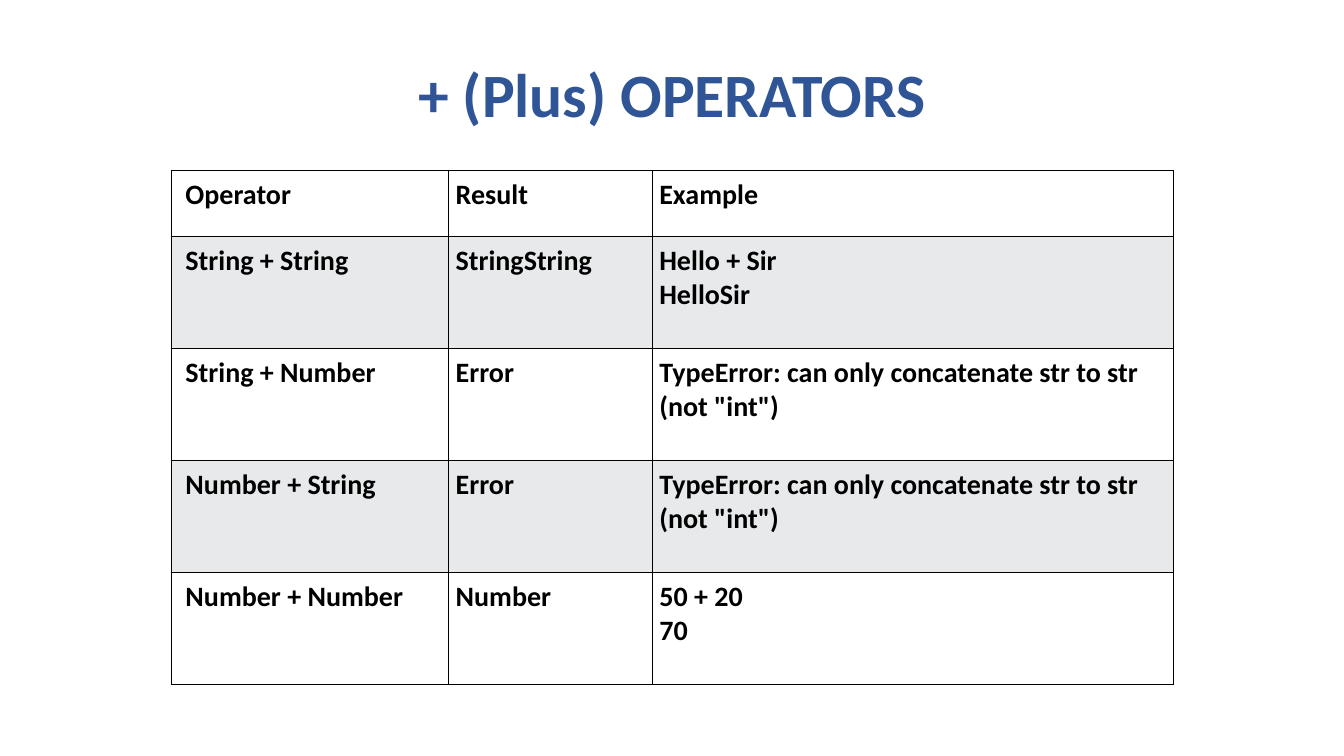
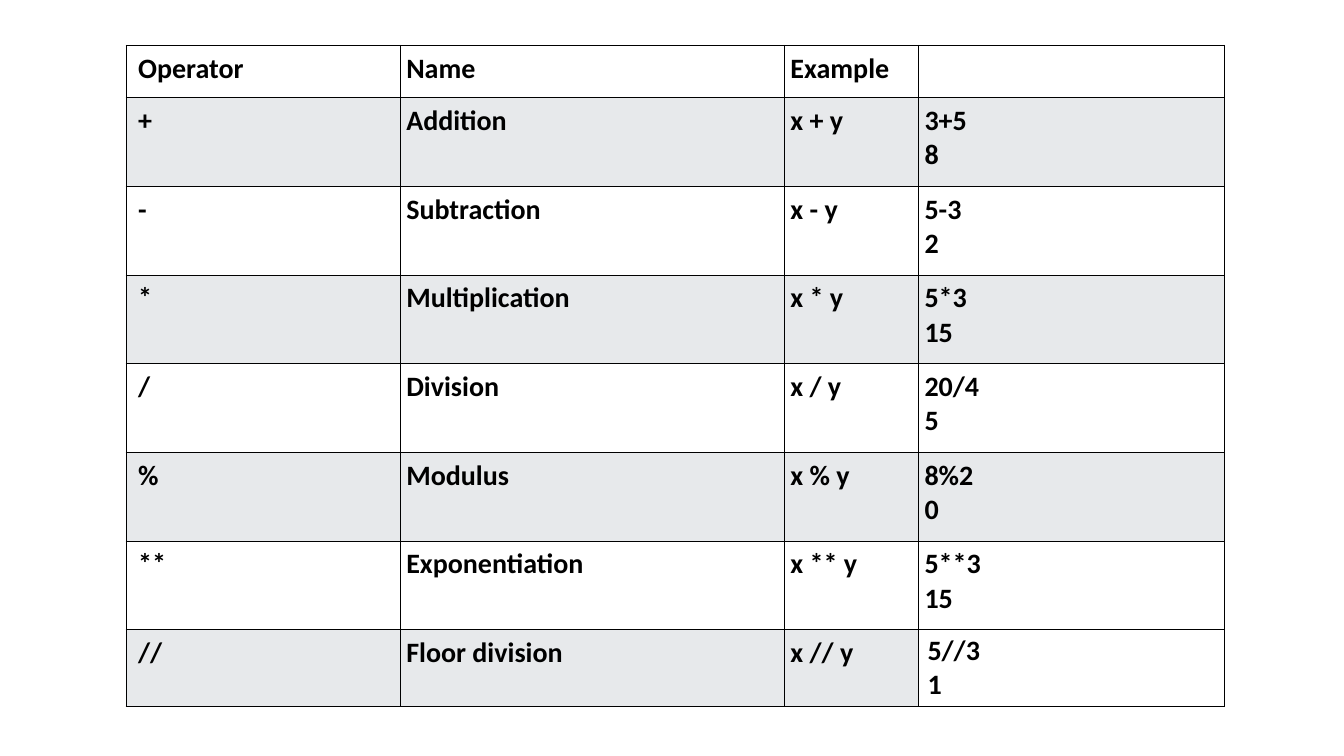
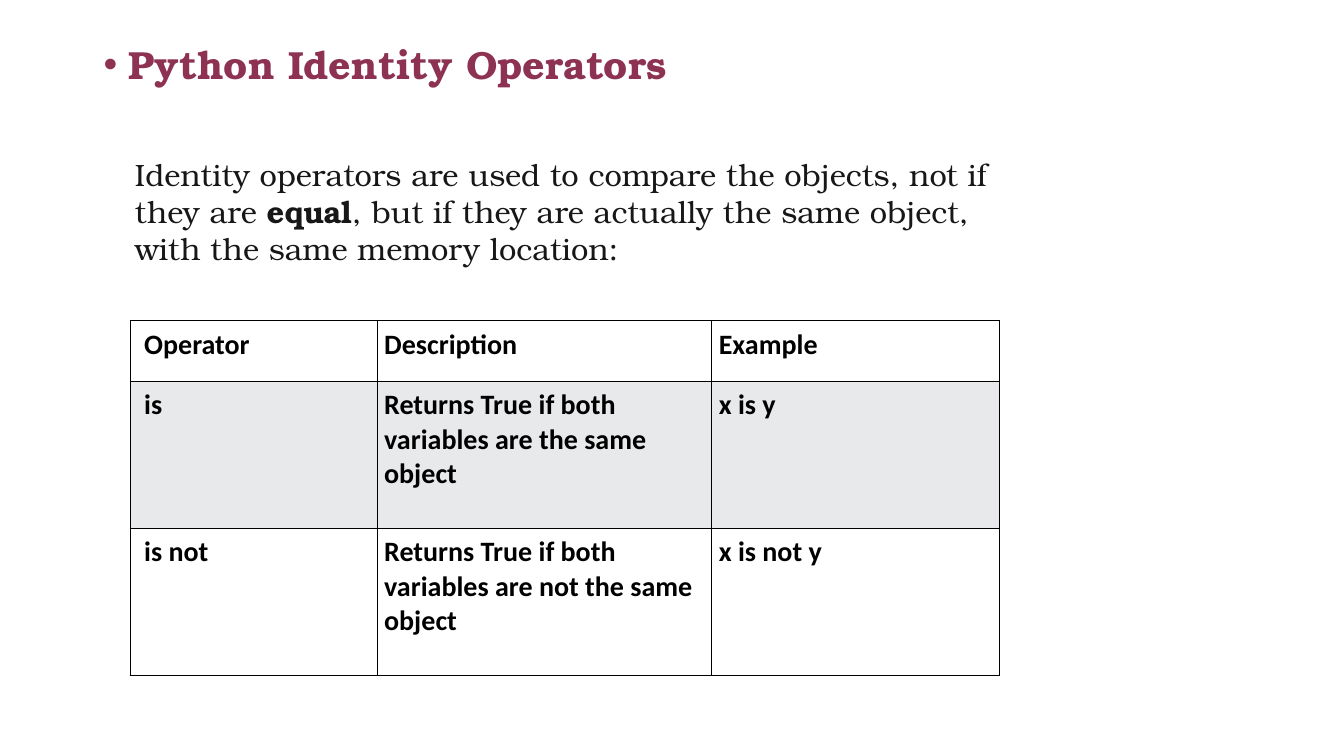
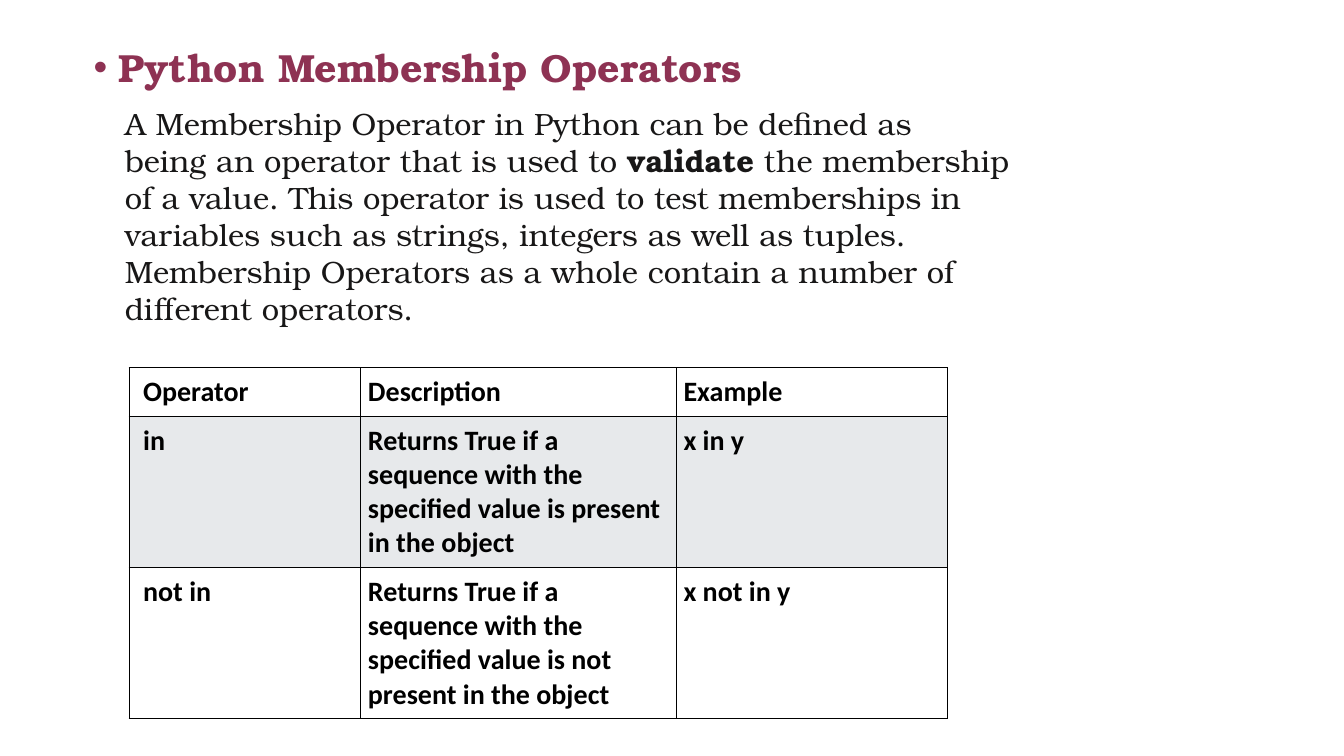
from lxml import etree
from pptx import Presentation
from pptx import util as u
from pptx.dml.color import RGBColor
from pptx.enum import text
from pptx.oxml import ns

# Shared style
BLUE = RGBColor(0x2F, 0x55, 0x97)
PLUM = RGBColor(0x8E, 0x32, 0x53)
INK = RGBColor(0x18, 0x17, 0x17)
BLACK = RGBColor(0, 0, 0)
WHITE = RGBColor(0xFF, 0xFF, 0xFF)
GREY = RGBColor(0xE7, 0xE9, 0xEB)
SANS, SERIF = "Calibri", "TeX Gyre Bonum"
SLIDE_W, SLIDE_H = 13.33, 7.5
BODY_RIGHT = 10.2   # right edge of running text

# Content
TYPE_ERROR = 'TypeError: can only concatenate str to str (not "int")'
PLUS = [
    ("Operator", "Result", "Example"),
    ("String + String", "StringString", "Hello + Sir\nHelloSir"),
    ("String + Number", "Error", TYPE_ERROR),
    ("Number + String", "Error", TYPE_ERROR),
    ("Number + Number", "Number", "50 + 20\n70"),
]
ARITHMETIC = [
    ("Operator", "Name", "Example", ""),
    ("+", "Addition", "x + y", "3+5\n8"),
    ("-", "Subtraction", "x - y", "5-3\n2"),
    ("*", "Multiplication", "x * y", "5*3\n15"),
    ("/", "Division", "x / y", "20/4\n5"),
    ("%", "Modulus", "x % y", "8%2\n0"),
    ("**", "Exponentiation", "x ** y", "5**3\n15"),
    ("//", "Floor division", "x // y", "5//3\n1"),
]
IDENTITY = [
    ("Operator", "Description", "Example"),
    ("is", "Returns True if both variables are the same object", "x is y"),
    ("is not", "Returns True if both variables are not the same object",
     "x is not y"),
]
MEMBERSHIP = [
    ("Operator", "Description", "Example"),
    ("in", "Returns True if a sequence with the specified value is present "
     "in the object", "x in y"),
    ("not in", "Returns True if a sequence with the specified value is not "
     "present in the object", "x not in y"),
]
# Running text: (words, bold)
IDENTITY_TEXT = [
    ("Identity operators are used to compare the objects, not if they are ",
     False),
    ("equal", True),
    (", but if they are actually the same object, with the same memory "
     "location:", False),
]
MEMBERSHIP_TEXT = [
    ("A Membership Operator in Python can be defined as being\u00a0an "
     "operator that is used to ", False),
    ("validate", True),
    (" the membership of a value. This operator is used to test memberships "
     "in variables such as strings, integers as well as tuples. Membership "
     "Operators as a whole contain a number of different operators.", False),
]

prs = Presentation()
prs.slide_width, prs.slide_height = u.Inches(SLIDE_W), u.Inches(SLIDE_H)


def add_slide():
    return prs.slides.add_slide(prs.slide_layouts[6])


def add_run(p, words, size, font, color, bold=True):
    r = p.add_run()
    r.text = words
    r.font.size, r.font.name, r.font.bold = u.Pt(size), font, bold
    r.font.color.rgb = color


def add_box(s, left, top, width, height):
    tf = s.shapes.add_textbox(*map(u.Inches, (left, top, width, height))).text_frame
    tf.word_wrap = True
    return tf


def set_insets(cell, left, top, right, bottom):
    cell.margin_left, cell.margin_top = u.Inches(left), u.Inches(top)
    cell.margin_right, cell.margin_bottom = u.Inches(right), u.Inches(bottom)


def set_borders(cell):
    tc_pr = cell._tc.get_or_add_tcPr()
    for i, side in enumerate(("lnL", "lnR", "lnT", "lnB")):
        ln = etree.Element(ns.qn("a:" + side), w=str(u.Pt(0.75)))
        fill = etree.SubElement(ln, ns.qn("a:solidFill"))
        etree.SubElement(fill, ns.qn("a:srgbClr"), val=str(BLACK))
        tc_pr.insert(i, ln)


def add_grid(s, rows, left, top, cols, heights, pad):
    """Bordered table with alternate grey rows; returns the table."""
    frame = s.shapes.add_table(len(rows), len(cols), *map(
        u.Inches, (left, top, sum(cols), sum(heights))))
    tbl = frame.table
    tbl.first_row = tbl.horz_banding = False
    for col, width in zip(tbl.columns, cols):
        col.width = u.Inches(width)
    for i, (row, height) in enumerate(zip(rows, heights)):
        tbl.rows[i].height = u.Inches(height)
        for j, words in enumerate(row):
            cell = tbl.cell(i, j)
            cell.fill.solid()
            cell.fill.fore_color.rgb = GREY if i % 2 else WHITE
            set_borders(cell)
            set_insets(cell, pad if j else 2 * pad, pad, pad, pad)
            for k, line in enumerate(words.split("\n") if words else []):
                tf = cell.text_frame
                p = tf.add_paragraph() if k else tf.paragraphs[0]
                add_run(p, line, 20, SANS, BLACK)
    return tbl


def add_topic(s, left, top, heading, runs, gap):
    """Bulleted heading, then an indented paragraph gap points below."""
    width = 11.88
    tf = add_box(s, left, top, width, 5.87)
    tf.margin_right = u.Inches(left + width - BODY_RIGHT)
    p = tf.paragraphs[0]
    p.line_spacing, p.space_before = 0.9, u.Pt(10)
    p_pr = p._p.get_or_add_pPr()
    p_pr.set("marL", str(u.Inches(0.25)))
    p_pr.set("indent", str(u.Inches(-0.25)))
    etree.SubElement(p_pr, ns.qn("a:buFont"), typeface="Arial")
    etree.SubElement(p_pr, ns.qn("a:buChar"), char="\u2022")
    add_run(p, heading, 28, SERIF, PLUM)
    p = tf.add_paragraph()
    p.space_before, p.space_after = u.Pt(gap), u.Pt(0.6)
    p._p.get_or_add_pPr().set("marL", str(u.Inches(0.31)))
    for words, bold in runs:
        add_run(p, words, 22, SERIF, INK, bold)


# Slide 1: plus operator
s = add_slide()
add_grid(s, PLUS, 1.7, 1.69, [2.75, 2.02, 5.17], [0.66] + [1.11] * 4, 0.07)
tf = add_box(s, 0.92, 0.4, 11.5, 1.14)
tf.vertical_anchor = text.MSO_ANCHOR.MIDDLE
p = tf.paragraphs[0]
p.alignment, p.line_spacing = text.PP_ALIGN.CENTER, 0.9
add_run(p, "+ (Plus) OPERATORS", 44, SANS, BLUE)

# Slide 2: arithmetic operators
s = add_slide()
tbl = add_grid(s, ARITHMETIC, 1.25, 0.45, [2.72, 3.81, 1.33, 3.03],
               [0.52] + [0.88] * 6 + [0.76], 0.06)
floor_result = tbl.cell(7, 3)
floor_result.fill.fore_color.rgb = WHITE
set_insets(floor_result, 0.09, 0.04, 0.09, 0.04)

# Slide 3: identity operators
s = add_slide()
add_topic(s, 0.93, 0.4, "Python Identity Operators", IDENTITY_TEXT, 49)
add_grid(s, IDENTITY, 1.29, 3.18, [2.45, 3.32, 2.85], [0.6] + [1.46] * 2, 0.07)

# Slide 4: membership operators
s = add_slide()
add_topic(s, 0.83, 0.43, "Python Membership Operators", MEMBERSHIP_TEXT, 10)
add_grid(s, MEMBERSHIP, 1.28, 3.65, [2.3, 3.13, 2.69], [0.48] + [1.5] * 2, 0.07)

prs.save("out.pptx")
